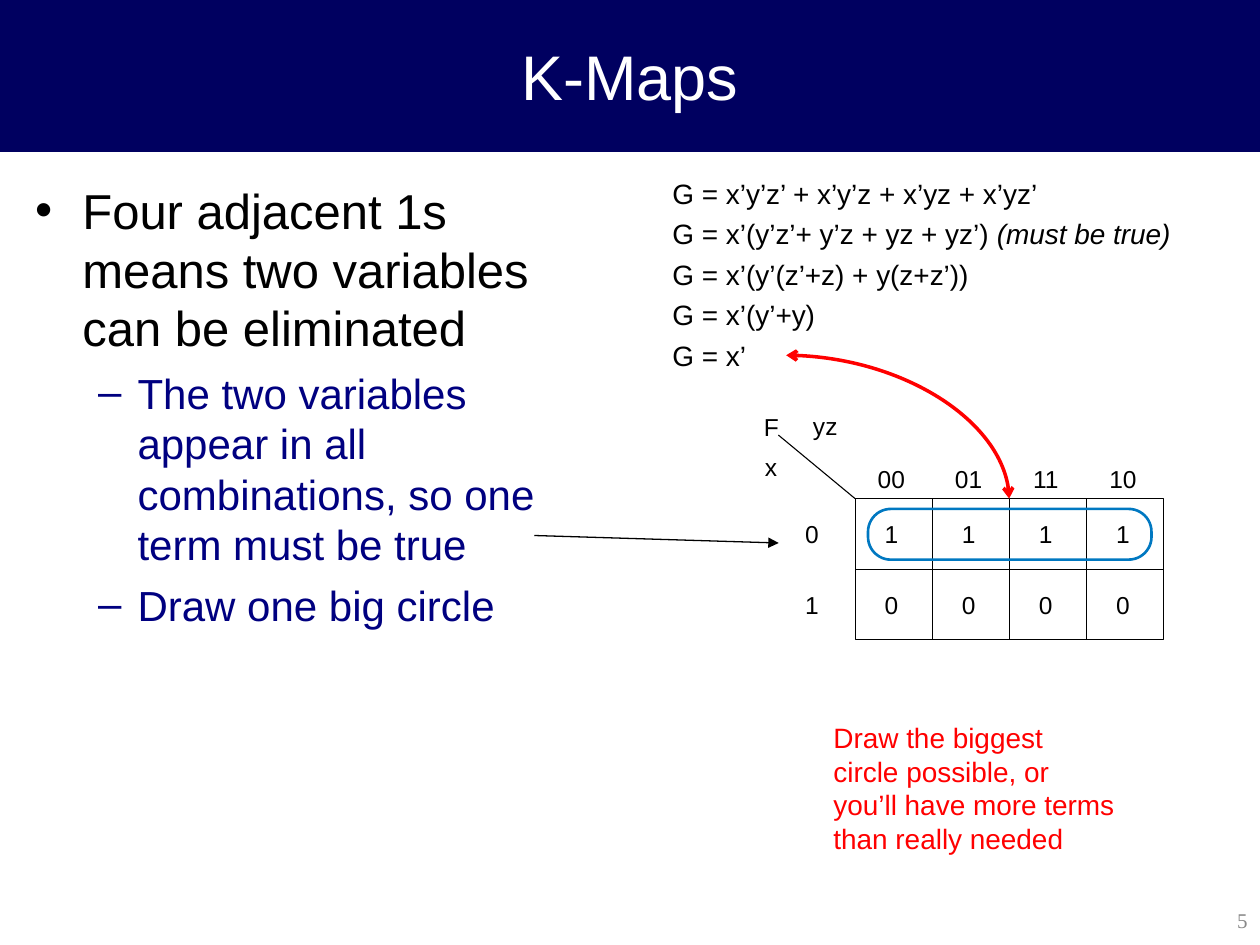
from dataclasses import dataclass
from pptx import Presentation
from pptx.dml.color import RGBColor as RGB
from pptx.enum.shapes import MSO_CONNECTOR as Conn, MSO_SHAPE as Geom
from pptx.enum.text import MSO_ANCHOR as Anchor, PP_ALIGN as Align
from pptx.oxml.ns import qn
from pptx.util import Pt
from lxml.etree import SubElement as Sub


@dataclass(frozen=True)
class Theme:
    sans: str = "Arial"
    serif: str = "Times New Roman"
    band: str = "000060"
    white: str = "FFFFFF"
    black: str = "000000"
    navy: str = "000080"
    red: str = "FF0000"
    blue: str = "0078C1"
    gray: str = "898989"
    title: int = 36
    head: int = 28
    sub: int = 24
    body: int = 16
    cell: int = 14
    page: int = 12


T = Theme()


def apply(obj, vals):
    for key, val in vals.items():
        setattr(obj, key, val)


def add_text(slide, box, paras, size, color, font=T.sans, frame=None, fmt=None, gap=0):
    """Each paragraph is a list of (text, italic) runs or a plain string."""
    tf = slide.shapes.add_textbox(*map(Pt, box)).text_frame
    apply(tf, {"word_wrap": True, **(frame or {})})
    for i, runs in enumerate(paras):
        para = tf.paragraphs[0] if i == 0 else tf.add_paragraph()
        apply(para, {"space_before": Pt(gap if i else 0), **(fmt or {})})
        for text, slant in [(runs, False)] if isinstance(runs, str) else runs:
            run = para.add_run()
            run.text = text
            style(run.font, size, color, font, slant)
    return tf


def style(font, size, color, name=T.sans, slant=False):
    apply(font, {"size": Pt(size), "name": name, "italic": slant})
    font.color.rgb = RGB.from_string(color)


def add_bullet(para, mark, color, left, hang, level):
    props = para._p.get_or_add_pPr()
    for key, val in {"marL": Pt(left), "indent": Pt(-hang), "lvl": level}.items():
        props.set(key, str(int(val)))
    Sub(Sub(props, qn("a:buClr")), qn("a:srgbClr"), val=color)
    Sub(props, qn("a:buFont"), typeface=T.sans)
    Sub(props, qn("a:buChar"), char=mark)


def add_list(slide, box, items):
    kinds = (("•", T.black, T.head, 27, 27), ("–", T.navy, T.sub, 58.5, 22.5))
    tf = slide.shapes.add_textbox(*map(Pt, box)).text_frame
    tf.word_wrap = True
    for i, (level, text) in enumerate(items):
        mark, color, size, left, hang = kinds[level]
        para = tf.paragraphs[0] if i == 0 else tf.add_paragraph()
        add_bullet(para, mark, color, left, hang, level)
        para.space_before = Pt(6 if i else 0)
        run = para.add_run()
        run.text = text
        style(run.font, size, color)


def add_line(slide, start, end, color=T.black, width=0.62, kind=Conn.STRAIGHT, ends=None):
    line = slide.shapes.add_connector(kind, *map(Pt, (*start, *end)))
    line.line.color.rgb = RGB.from_string(color)
    line.line.width = Pt(width)
    props = line._element.spPr
    for tag, head in (ends or {}).items():
        Sub(props.find(qn("a:ln")), qn(f"a:{tag}"), type=head)
    Sub(props, qn("a:effectLst"))
    return line


def add_box(slide, geom, box, color, width, fill=None):
    shape = slide.shapes.add_shape(geom, *map(Pt, box))
    shape.shadow.inherit = False
    if fill:
        shape.fill.solid()
        shape.fill.fore_color.rgb = RGB.from_string(fill)
    else:
        shape.fill.background()
    shape.line.color.rgb = RGB.from_string(color)
    shape.line.width = Pt(width)
    return shape


def add_label(slide, text, mid, top):
    wide = 8 * len(text)
    bare = dict.fromkeys(("margin_left", "margin_top", "margin_right", "margin_bottom"), 0)
    add_text(slide, (mid - wide / 2, top, wide, 16.5), [text], T.cell, T.black,
             frame={**bare, "word_wrap": False}, fmt={"alignment": Align.CENTER})


def add_map(slide, left, top, wide, high, cols, rows):
    right, base = left + wide * len(cols), top + high * len(rows)

    # Grid and corner stroke
    add_box(slide, Geom.RECTANGLE, (left, top, right - left, base - top), T.black, 0.62)
    for i in range(1, len(cols)):
        add_line(slide, (left + i * wide, top), (left + i * wide, base))
    for j in range(1, len(rows)):
        add_line(slide, (left, top + j * high), (right, top + j * high))
    add_line(slide, (left, top), (left - 43.8, top - 36.3))

    # Headings and values
    for text, dx, dy in (("F", -48, -49.5), ("yz", -17, -50), ("x", -48, -26.5)):
        add_label(slide, text, left + dx, top + dy)
    mids = [left + 20.8 + i * wide for i in range(len(cols))]
    for text, mid in zip(cols, mids):
        add_label(slide, text, mid, top - 20)
    for j, (name, vals) in enumerate(rows):
        for text, mid in zip((name, *vals), (left - 24.6, *mids)):
            add_label(slide, text, mid, top + 11.8 + j * high)


def main():
    prs = Presentation()
    apply(prs, {"slide_width": Pt(720), "slide_height": Pt(540)})
    slide = prs.slides.add_slide(prs.slide_layouts[6])

    # Title band
    band = (0, 0, 720, 86.4)
    add_box(slide, Geom.RECTANGLE, band, T.band, 0.75, T.band)
    add_text(slide, band, ["K-Maps"], T.title, T.white,
             frame={"vertical_anchor": Anchor.MIDDLE}, fmt={"alignment": Align.CENTER})

    # Main points
    add_list(slide, (13, 99.4, 332.6, 411.8), [
        (0, "Four adjacent 1s means two variables can be eliminated"),
        (1, "The two variables appear in all combinations, so one term must be true"),
        (1, "Draw one big circle"),
    ])

    # Page number
    add_text(slide, (567.4, 511.2, 152.6, 28.8), ["5"], T.page, T.gray, T.serif,
             frame={"vertical_anchor": Anchor.MIDDLE}, fmt={"alignment": Align.RIGHT})

    # Algebra
    add_text(slide, (377.2, 97.2, 333.4, 119.5), [
        "G = x’y’z’ + x’y’z + x’yz + x’yz’",
        [("G = x’(y’z’+ y’z + yz + yz’) ", False), ("(must be true)", True)],
        "G = x’(y’(z’+z) + y(z+z’))",
        "G = x’(y’+y)",
        "G = x’",
    ], T.body, T.black, gap=4)

    # Advice
    add_text(slide, (469.2, 408.2, 175, 84.2), [
        "Draw the biggest",
        "circle possible, or",
        "you’ll have more terms",
        "than really needed",
    ], T.body, T.red, frame={"word_wrap": False})

    # K-map with its circle
    add_line(slide, (305.3, 306), (445, 310.3), width=0.75, ends={"tailEnd": "triangle"})
    add_map(slide, 488.6, 284.9, 44.1, 40.4, ("00", "01", "11", "10"),
            (("0", "1111"), ("1", "0000")))
    ring = add_box(slide, Geom.ROUNDED_RECTANGLE, (496, 290.8, 162, 29), T.blue, 1.5)
    ring.adjustments[0] = 0.45

    # Curve from the result to the map
    curve = add_line(slide, (449.3, 203), (576.7, 284.9), T.red, 2, Conn.CURVE,
                     {"headEnd": "arrow", "tailEnd": "arrow"})
    curve._element.spPr.find(qn("a:prstGeom")).set("prst", "curvedConnector2")

    prs.save("out.pptx")


if __name__ == "__main__":
    main()
